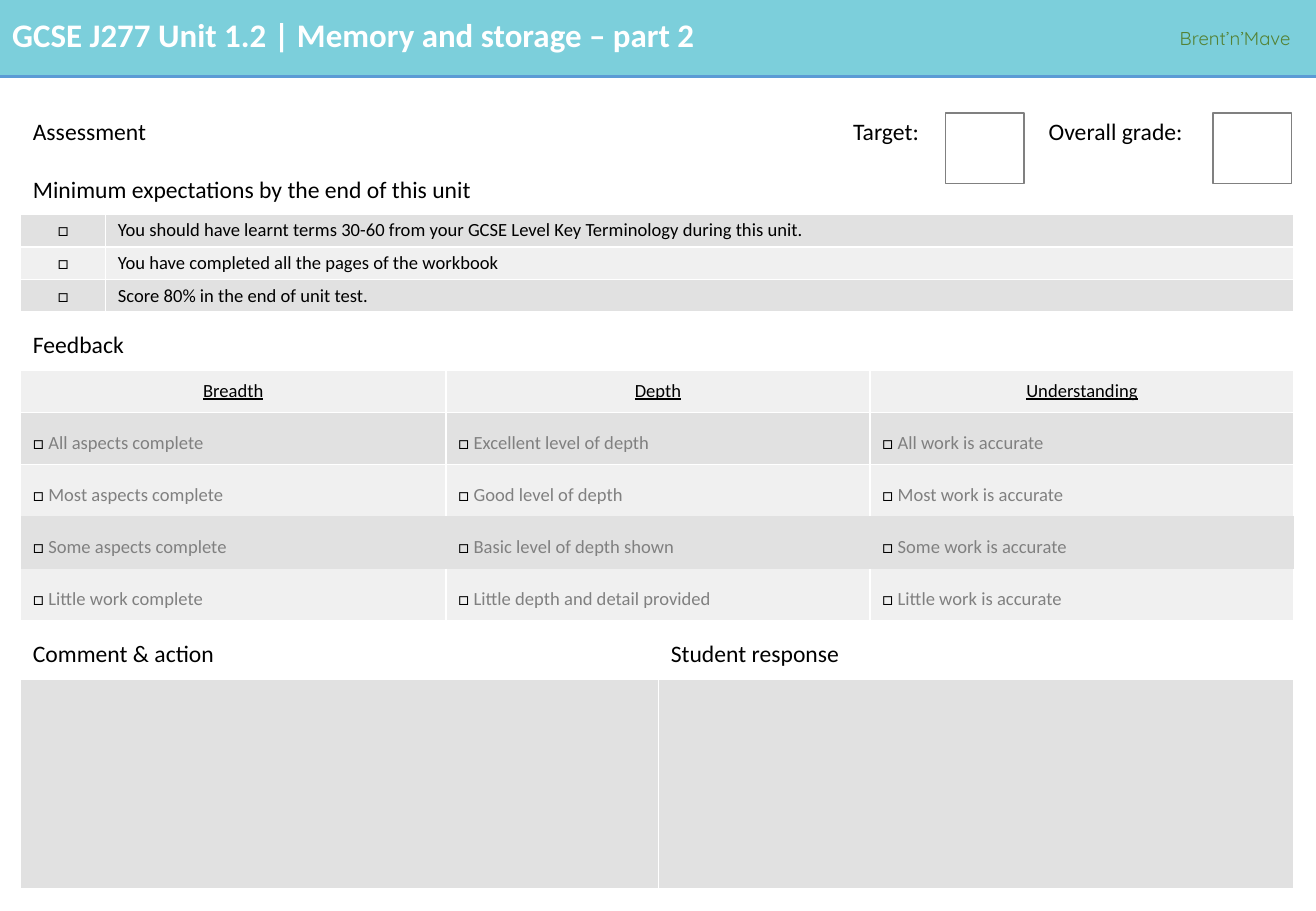
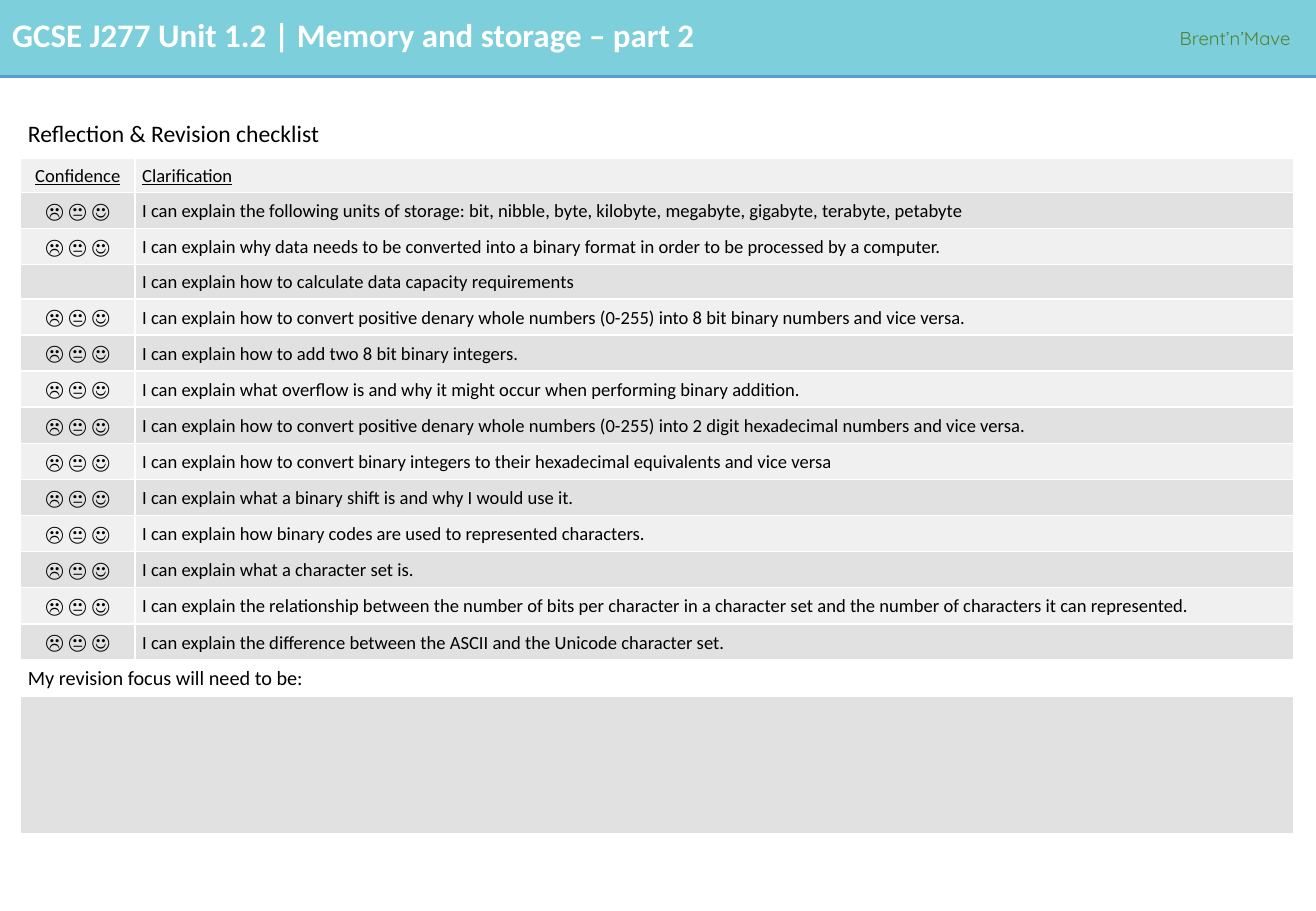
"""Builds the assessment and revision pages of a unit workbook."""
from collections import namedtuple
from lxml.etree import SubElement as Sub
from pptx import Presentation
from pptx.dml.color import RGBColor as RGB
from pptx.enum.shapes import MSO_CONNECTOR as LINK, MSO_SHAPE as SHAPE
from pptx.enum.text import MSO_ANCHOR as ANCHOR, MSO_AUTO_SIZE as AUTO, PP_ALIGN as ALIGN
from pptx.oxml.ns import qn
from pptx.util import Inches, Pt

WHITE = RGB(0xFF, 0xFF, 0xFF)
BLACK = RGB(0, 0, 0)
TEAL = RGB(0x7C, 0xCF, 0xDB)
BLUE = RGB(0x5B, 0x9B, 0xD5)
GREEN = RGB(0x54, 0x82, 0x35)
GREY = RGB(0x80, 0x80, 0x80)
DARK = RGB(0xE1, 0xE1, 0xE1)
PALE = RGB(0xF0, 0xF0, 0xF0)
SHADES = (DARK, PALE)
FONT = "Calibri"
NO_GRID = "{2D5ABB26-0587-4C30-8999-92F81FD0307C}"
WIDTH, HEIGHT, BAND = 10.83, 7.5, 0.63
LEFT, TOP = 0.17, 0.81

TITLE = "GCSE J277 Unit 1.2 | Memory and storage – part 2"
BRAND = "Brent’n’Mave"
BOX, FACES = "□", "☹ 😐 ☺"

Look = namedtuple("Look", "size top low under", defaults=(False,))
Row = namedtuple("Row", "high look fill aligns spans texts sides", defaults=("LRTB",))
HEAD = Look(14, 0.16, 0.08)
TIGHT = Look(11, 0.04, 0.04)
LABEL = Look(11, 0.08, 0.08, True)
CHECK = Look(11, 0.16, 0.08)
TOPIC = Look(11, 0.04, 0.04, True)
FOCUS = Look(12, 0.04, 0.04)

GOALS = [
    "You should have learnt terms 30-60 from your GCSE Level Key Terminology during this unit.",
    "You have completed all the pages of the workbook",
    "Score 80% in the end of unit test.",
]
AREAS = ["Breadth", "Depth", "Understanding"]
LEVELS = [
    ("LRTB", ["All aspects complete", "Excellent level of depth", "All work is accurate"]),
    ("LRT", ["Most aspects complete", "Good level of depth", "Most work is accurate"]),
    ("", ["Some aspects complete", "Basic level of depth shown", "Some work is accurate"]),
    ("LRB", ["Little work complete", "Little depth and detail provided", "Little work is accurate"]),
]
SKILLS = [
    (FACES, "I can explain the following units of storage: bit, nibble, byte, kilobyte, megabyte, "
            "gigabyte, terabyte, petabyte"),
    (FACES, "I can explain why data needs to be converted into a binary format in order to be "
            "processed by a computer."),
    ("", "I can explain how to calculate data capacity requirements"),
    (FACES, "I can explain how to convert positive denary whole numbers (0-255) into 8 bit binary "
            "numbers and vice versa."),
    (FACES, "I can explain how to add two 8 bit binary integers."),
    (FACES, "I can explain what overflow is and why it might occur when performing binary addition."),
    (FACES, "I can explain how to convert positive denary whole numbers (0-255) into 2 digit "
            "hexadecimal numbers and vice versa."),
    (FACES, "I can explain how to convert binary integers to their hexadecimal equivalents and vice versa"),
    (FACES, "I can explain what a binary shift is and why I would use it."),
    (FACES, "I can explain how binary codes are used to represented characters."),
    (FACES, "I can explain what a character set is."),
    (FACES, "I can explain the relationship between the number of bits per character in a character "
            "set and the number of characters it can represented."),
    (FACES, "I can explain the difference between the ASCII and the Unicode character set."),
]

GRADE_COLS = [0.7, 2.8, 1.75, 1.5, 0.24, 1.37, 2.12]
GRADE_ROWS = [
    Row(0.47, HEAD, WHITE, "lll", (4, 2, 1), ["Assessment", "Target:", "Overall grade:"]),
    Row(0.47, HEAD, WHITE, "l", (7,), ["Minimum expectations by the end of this unit"]),
    *[Row(0.26, TIGHT, SHADES[n % 2], "cl", (1, 6), [BOX, goal]) for n, goal in enumerate(GOALS)],
    Row(0.47, HEAD, WHITE, "l", (7,), ["Feedback"]),
    Row(0.34, LABEL, PALE, "ccc", (2, 3, 2), AREAS),
    *[Row(0.42, CHECK, SHADES[n % 2], "lll", (2, 3, 2), [f"{BOX} {text}" for text in texts], sides)
      for n, (sides, texts) in enumerate(LEVELS)],
    Row(0.48, HEAD, WHITE, "ll", (3, 4), ["Comment & action", "Student response"]),
    Row(1.73, TIGHT, DARK, "ll", (3, 4), ["", ""]),
]
SKILL_COLS = [0.94, 9.54]
SKILL_ROWS = [
    Row(0.49, HEAD, WHITE, "l", (2,), ["Reflection & Revision checklist"]),
    Row(0.27, TOPIC, PALE, "cl", (1, 1), ["Confidence", "Clarification"]),
    *[Row(0.29 if pair[0] else 0.28, TIGHT, SHADES[n % 2], "cl", (1, 1), pair)
      for n, pair in enumerate(SKILLS)],
    Row(0.3, FOCUS, WHITE, "l", (2,), ["My revision focus will need to be:"]),
    Row(1.13, TIGHT, DARK, "l", (2,), [""]),
]


def style(run, size, color, font=FONT, bold=False, under=False):
    face = run.font
    face.name, face.size, face.bold, face.underline = font, Pt(size), bold, under
    face.color.rgb = color


def add_box(slide, at, fill, line=None):
    box = slide.shapes.add_shape(SHAPE.RECTANGLE, *map(Inches, at))
    box.shadow.inherit = False
    box.fill.solid()
    box.fill.fore_color.rgb = fill
    if line is None:
        box.line.fill.background()
    else:
        box.line.color.rgb, box.line.width = line, Pt(1)
    return box


def set_frame(slide, layout):
    for holder in list(layout.placeholders)[1:]:
        layout.shapes.element.remove(holder.element)
    title = layout.placeholders[0]
    title.left, title.top, title.width, title.height = map(Inches, (0, 0.07, 9.48, 0.43))
    band = add_box(slide, (0, 0, WIDTH, BAND), TEAL)
    rule = slide.shapes.add_connector(
        LINK.STRAIGHT, 0, Inches(BAND), Inches(WIDTH), Inches(BAND))
    rule.line.color.rgb, rule.line.width = BLUE, Pt(2.25)
    Sub(rule.element.spPr, qn("a:effectLst"))
    brand = slide.shapes.add_textbox(*map(Inches, (9.61, 0.17, 1.22, 0.29)))
    brand.text_frame.text = BRAND
    style(brand.text_frame.paragraphs[0].runs[0], 11, GREEN, "Quicksand")
    for place, shape in enumerate((band, rule, brand), 2):
        layout.shapes.element.insert(place, shape.element)


def set_title(slide):
    frame = slide.shapes.title.text_frame
    frame.text = TITLE
    frame.auto_size, frame.vertical_anchor = AUTO.NONE, ANCHOR.MIDDLE
    par = frame.paragraphs[0]
    par.alignment = ALIGN.LEFT
    style(par.runs[0], 19.5, WHITE, bold=True)


def set_cell(cell, row):
    props = cell._tc.get_or_add_tcPr()
    for side in "LRTB":
        edge = Sub(props, qn(f"a:ln{side}"), w=str(Pt(1)))
        if side in row.sides:
            Sub(Sub(edge, qn("a:solidFill")), qn("a:srgbClr"), val=str(WHITE))
        else:
            Sub(edge, qn("a:noFill"))
    cell.fill.solid()
    cell.fill.fore_color.rgb = row.fill
    cell.margin_top, cell.margin_bottom = Inches(row.look.top), Inches(row.look.low)


def write(cell, text, look, align, space):
    par = cell.text_frame.paragraphs[0]
    par.alignment = ALIGN.CENTER if align == "c" else ALIGN.LEFT
    par.line_spacing = space
    mark = f"{BOX} "
    if text.startswith(mark):
        parts = [(mark, BLACK), (text[len(mark):], GREY)]
    else:
        parts = [(text, BLACK)]
    for part, color in parts:
        run = par.add_run()
        run.text = part
        style(run, 12 if text == FACES else look.size, color, under=look.under)


def add_grid(slide, cols, rows, inset, space=1.0):
    high = sum(row.high for row in rows)
    frame = slide.shapes.add_table(
        len(rows), len(cols), *map(Inches, (LEFT, TOP, sum(cols), high)))
    grid = frame.table
    grid.first_row = grid.horz_banding = False
    grid._tbl.tblPr.find(qn("a:tableStyleId")).text = NO_GRID
    for col, wide in zip(grid.columns, cols):
        col.width = Inches(wide)
    for y, row in enumerate(rows):
        grid.rows[y].height = Inches(row.high)
        for cell in grid.rows[y].cells:
            set_cell(cell, row)
            cell.margin_left = cell.margin_right = Inches(inset)
            cell.vertical_anchor = ANCHOR.TOP if row.look == CHECK else ANCHOR.MIDDLE
        x = 0
        for span, text, align in zip(row.spans, row.texts, row.aligns):
            cell = grid.cell(y, x)
            if span > 1:
                cell.merge(grid.cell(y, x + span - 1))
            if text:
                write(cell, text, row.look, align, space)
            x += span
        for cell in grid.rows[y].cells:
            if not cell.text_frame.text:
                Sub(cell.text_frame.paragraphs[0]._p, qn("a:endParaRPr"), sz="1100")


def main():
    deck = Presentation()
    deck.slide_width, deck.slide_height = Inches(WIDTH), Inches(HEIGHT)
    layout = deck.slide_layouts[5]
    grades, skills = [deck.slides.add_slide(layout) for _ in range(2)]
    set_frame(grades, layout)
    for slide in (grades, skills):
        set_title(slide)
    add_grid(grades, GRADE_COLS, GRADE_ROWS, 0.1)
    for x in (9.98, 7.78):
        add_box(grades, (x, 0.93, 0.65, 0.58), WHITE, GREY)
    add_grid(skills, SKILL_COLS, SKILL_ROWS, 0.06, 1.07)
    deck.save("out.pptx")


if __name__ == "__main__":
    main()
